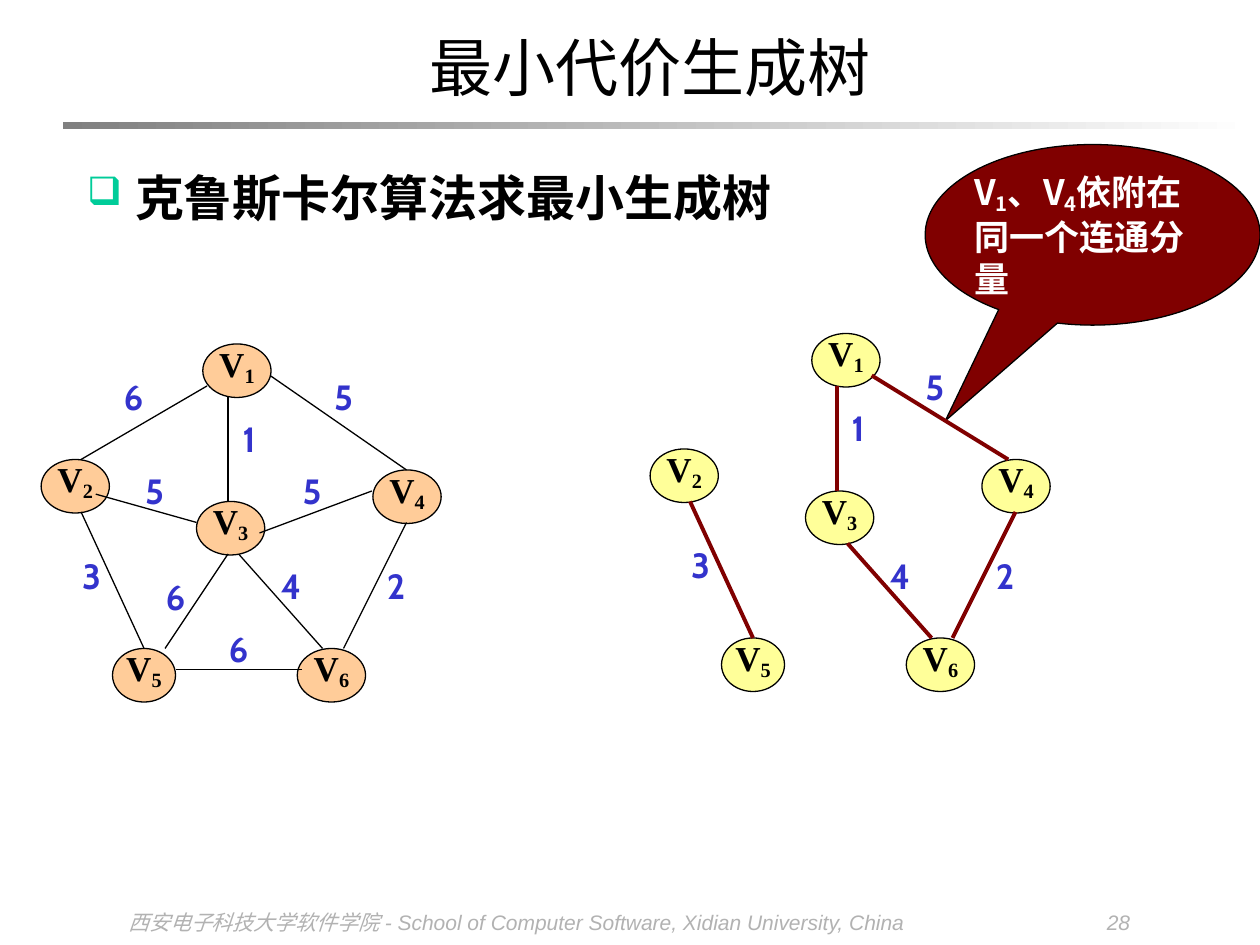
from lxml.etree import SubElement
from pptx import Presentation
from pptx.dml.color import RGBColor
from pptx.enum.shapes import MSO_CONNECTOR as Connector, MSO_SHAPE as Shape
from pptx.enum.text import MSO_ANCHOR as Anchor, MSO_AUTO_SIZE as AutoSize, PP_ALIGN as Align
from pptx.oxml.ns import qn
from pptx.util import Inches, Pt

BLACK = RGBColor(0x00, 0x00, 0x00)
WHITE = RGBColor(0xFF, 0xFF, 0xFF)
GRAY = RGBColor(0x80, 0x80, 0x80)
FOOTER_GRAY = RGBColor(0xB2, 0xB2, 0xB2)
PEACH = RGBColor(0xFF, 0xCC, 0x99)
YELLOW = RGBColor(0xFF, 0xFF, 0x99)
MAROON = RGBColor(0x80, 0x00, 0x00)
BLUE = RGBColor(0x33, 0x33, 0xCC)
CJK_FONT = "Noto Sans CJK SC"

# Grid: twelve cells to the inch, with a small offset from the slide corner
CELL = Inches(1 / 12)
ORIGIN = Inches(0.06), Inches(-0.02)

TITLE = {"name": "Times New Roman", "size": Pt(36), "bold": False}
HEADING = {"name": CJK_FONT, "size": Pt(28), "bold": True}
CALLOUT = {"name": CJK_FONT, "size": Pt(20), "bold": True}
NODE = {"name": "Times New Roman", "size": Pt(20), "bold": True}
WEIGHT = {"name": "Cabin", "size": Pt(20), "bold": True}
FOOTER = {"name": "Arial", "size": Pt(12), "italic": True}


def box(left, top, width, height):
    """Turn grid cells into left, top, width and height."""
    return (int(ORIGIN[0] + left * CELL), int(ORIGIN[1] + top * CELL),
            int(width * CELL), int(height * CELL))


def write(shape, texts, formats, color, align=Align.CENTER, inset=0, anchor=Anchor.TOP):
    """Write runs into a shape; every second run is a subscript."""
    frame = shape.text_frame
    settings = {"word_wrap": True, "auto_size": AutoSize.NONE, "vertical_anchor": anchor,
                "margin_left": inset, "margin_right": inset,
                "margin_top": inset // 2, "margin_bottom": inset // 2}
    for name, value in settings.items():
        setattr(frame, name, value)
    paragraph = frame.paragraphs[0]
    paragraph.alignment = align
    for index, text in enumerate(texts):
        run = paragraph.add_run()
        run.text = text
        for name, value in formats.items():
            setattr(run.font, name, value)
        run.font.color.rgb = color
        properties = run.font._element
        SubElement(properties, qn("a:ea"), typeface=CJK_FONT)
        if index % 2:
            properties.set("baseline", "-16000")
    return paragraph


presentation = Presentation()
presentation.slide_width, presentation.slide_height = Inches(10), Inches(7.5)
slide = presentation.slides.add_slide(presentation.slide_layouts[5])
shapes = slide.shapes

# Title and the fading rule below it
title = shapes.title
title.left, title.top, title.width, title.height = box(10.1, 2, 102.2, 9.1)
write(title, ["最小代价生成树"], TITLE, BLACK, inset=Inches(0.1), anchor=Anchor.MIDDLE)

rule = shapes.add_shape(Shape.RECTANGLE, *box(5.3, 11.9, 113.4, 0.6))
rule.shadow.inherit = False
rule.line.fill.background()
rule.fill.gradient()
rule.fill.gradient_angle = 0
for stop, color, position in zip(rule.fill.gradient_stops, (GRAY, WHITE), (0, 1)):
    stop.color.rgb, stop.position = color, position

# Bulleted heading
heading = shapes.add_textbox(*box(6.4, 15, 94, 9))
paragraph = write(heading, ["克鲁斯卡尔算法求最小生成树"], HEADING, BLACK, Align.LEFT, Inches(0.1))
paragraph.line_spacing, paragraph.space_before = 1.1, Pt(7)
properties = paragraph._p.get_or_add_pPr()
properties.set("marL", str(Inches(0.38)))
properties.set("indent", str(-Inches(0.38)))
SubElement(SubElement(properties, qn("a:buClr")), qn("a:srgbClr"), val="00CC99")
SubElement(properties, qn("a:buSzPct"), val="80000")
SubElement(properties, qn("a:buChar"), char="❑")

# Callout on the edge between V1 and V4
callout = shapes.add_shape(Shape.OVAL_CALLOUT, *box(87.4, 14, 31.9, 17.2))
callout.adjustments[0], callout.adjustments[1] = -0.44, 1.03
callout.shadow.inherit = False
callout.fill.solid()
callout.fill.fore_color.rgb = MAROON
callout.line.color.rgb, callout.line.width = BLACK, Pt(0.75)
write(callout, ["V", "1", "、V", "4", "依附在同一个连通分量"], CALLOUT, WHITE,
      Align.LEFT, anchor=Anchor.MIDDLE)

# Vertices: number, left, top, width
vertices = [(1, 18.6, 33, 6.5), (2, 3.2, 44, 6.5), (3, 18, 48, 6.5),
            (4, 34.8, 45, 6.5), (5, 10, 62, 6), (6, 27.6, 62, 6.5)]
# Edges: weight, its left and top, then the line's start and end
outer_edges = [(6, 10, 36, 19, 37, 7, 44), (5, 30, 36, 25, 36, 38, 45),
               (5, 12, 45, 18, 50, 8.4, 47.3), (5, 27, 45, 24, 51, 34.7, 47),
               (6, 14, 55, 21, 53, 15, 62), (6, 20, 60, 16, 64, 28, 64)]
tree_edges = [(1, 21, 40, 21, 38, 21, 48), (3, 6, 53, 7, 49, 13, 62),
              (4, 25, 54, 22, 53, 30, 62), (2, 35, 54, 38, 50, 33 - 1, 62)]
last_edge = [(5, 28.3, 36, 24.3, 37, 37.3, 45)]

# Full graph at left, the tree shifted by whole cells at right
graphs = [(0, 0, PEACH, BLACK, 0.75, outer_edges + tree_edges),
          (58, -1, YELLOW, MAROON, 2.25, tree_edges + last_edge)]
for right, down, fill, line_color, line_width, edges in graphs:
    for number, left, top, width in vertices:
        vertex = shapes.add_shape(Shape.OVAL, *box(left + right, top + down, width, 5.1))
        vertex.shadow.inherit = False
        vertex.fill.solid()
        vertex.fill.fore_color.rgb = fill
        vertex.line.color.rgb, vertex.line.width = BLACK, Pt(0.75)
        write(vertex, ["V", str(number)], NODE, BLACK).line_spacing = 0.72
    for weight, left, top, x1, y1, x2, y2 in edges:
        start = box(x1 + right, y1 + down, 0, 0)[:2]
        end = box(x2 + right, y2 + down, 0, 0)[:2]
        edge = shapes.add_connector(Connector.STRAIGHT, *start, *end)
        edge.line.color.rgb, edge.line.width = line_color, Pt(line_width)
        SubElement(edge._element.spPr, qn("a:effectLst"))
        label = shapes.add_textbox(*box(left + right, top + down, 4, 4))
        write(label, [str(weight)], WEIGHT, BLUE)

# Footer and page number
footers = [("西安电子科技大学软件学院 - School of Computer Software, Xidian University, China",
            10.3, 84, Align.LEFT), ("28", 95.3, 12.8, Align.RIGHT)]
for text, left, width, align in footers:
    footer = shapes.add_textbox(*box(left, 86.3, width, 4))
    write(footer, [text], FOOTER, FOOTER_GRAY, align, Inches(0.1))

presentation.save("out.pptx")
